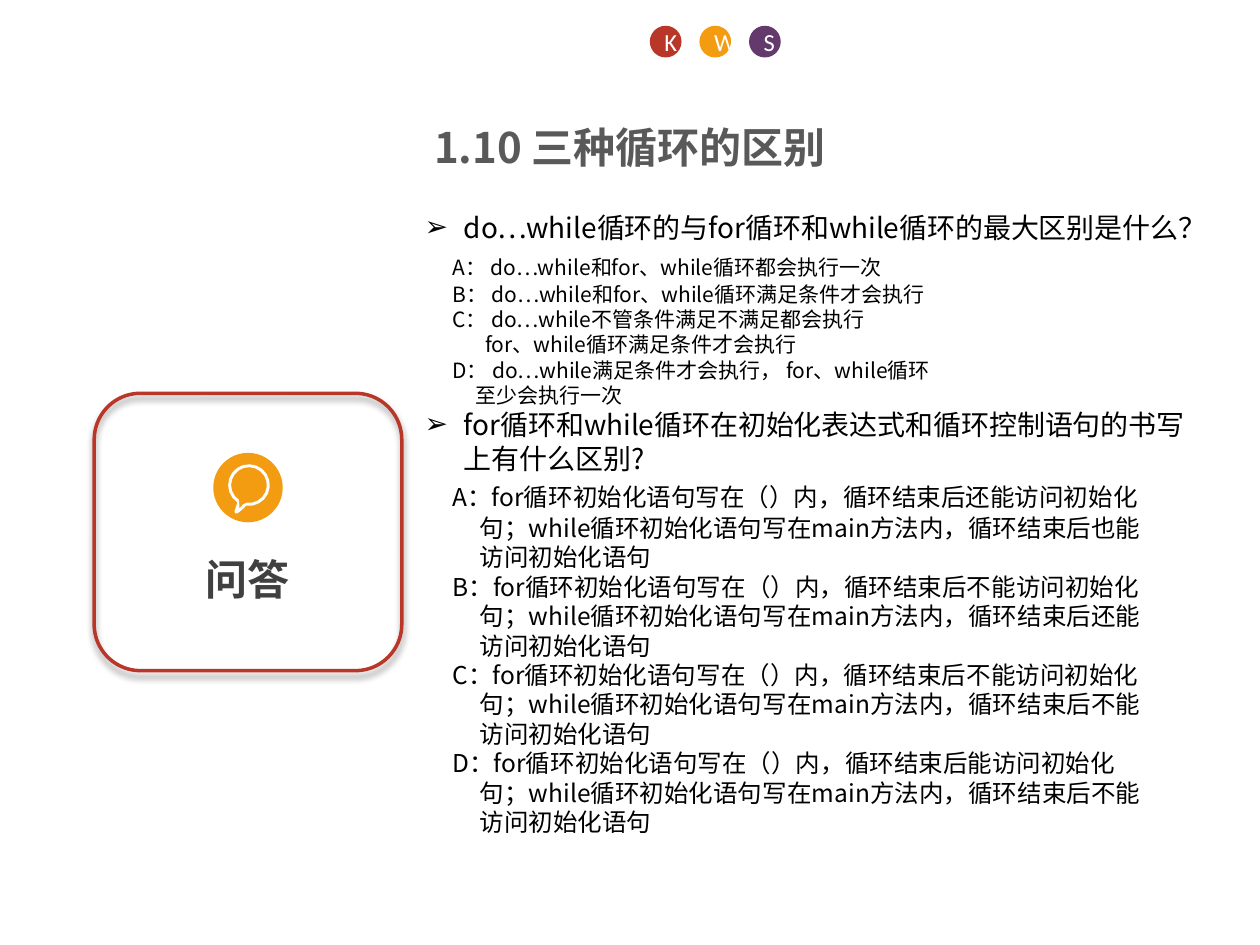
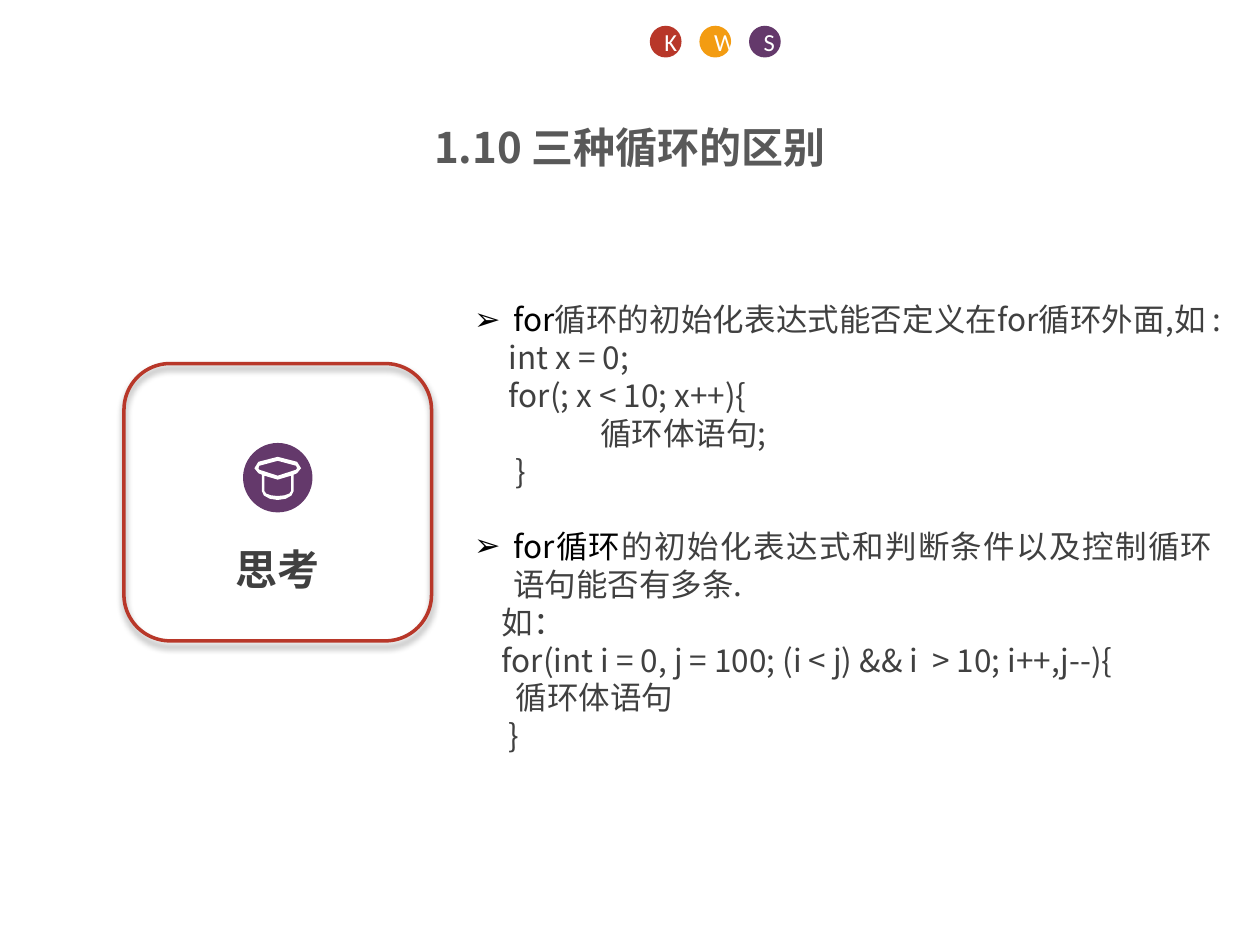
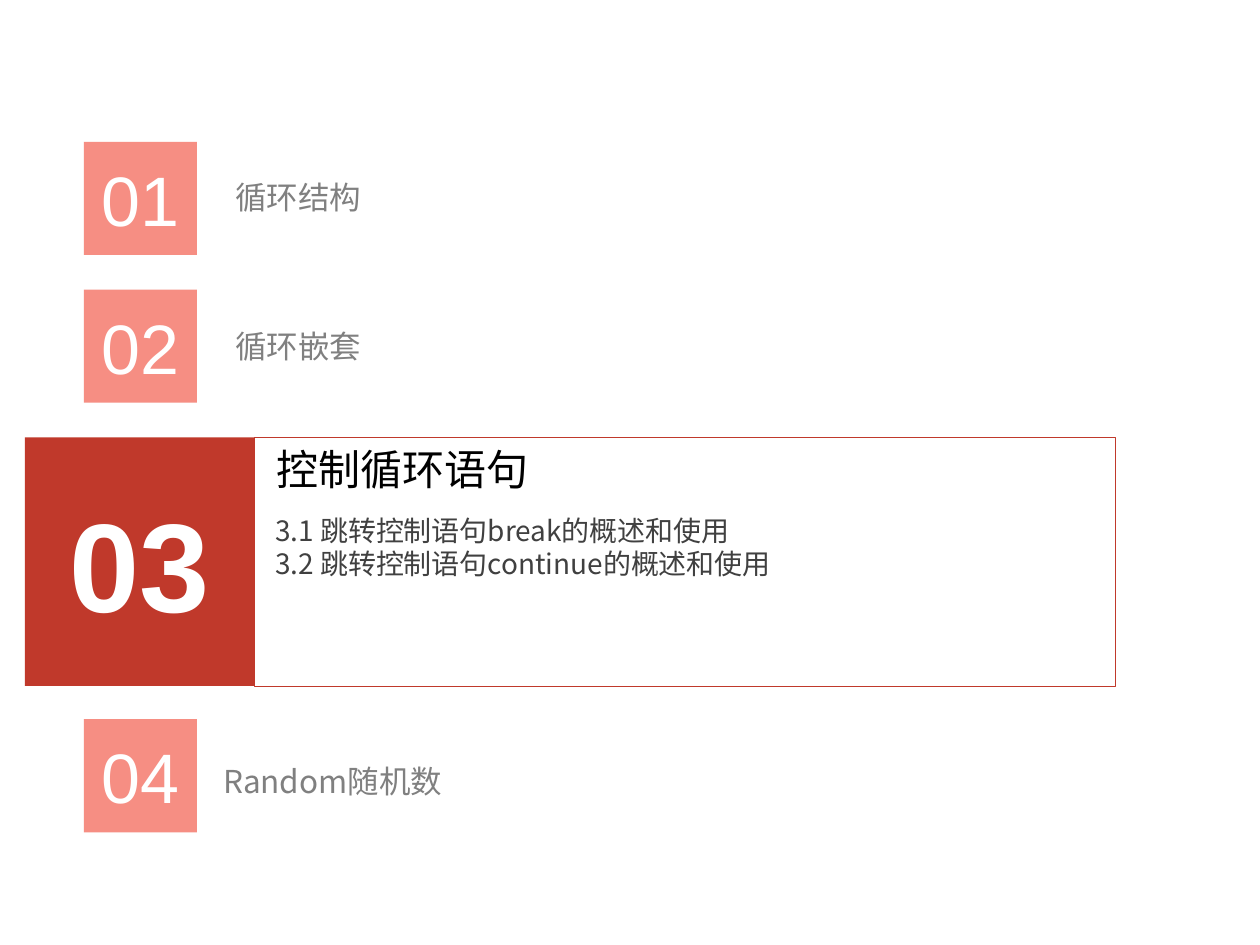
import math
from dataclasses import dataclass

from lxml import etree
from pptx import Presentation
from pptx.dml.color import RGBColor
from pptx.enum.shapes import MSO_SHAPE
from pptx.enum.text import MSO_ANCHOR, PP_ALIGN
from pptx.oxml.ns import qn
from pptx.shapes.autoshape import Shape
from pptx.slide import Slide
from pptx.util import Cm, Pt

RECTANGLE = MSO_SHAPE.RECTANGLE
ROUNDED = MSO_SHAPE.ROUNDED_RECTANGLE
OVAL = MSO_SHAPE.OVAL
MIDDLE = MSO_ANCHOR.MIDDLE
LEFT, CENTER, JUSTIFY = PP_ALIGN.LEFT, PP_ALIGN.CENTER, PP_ALIGN.JUSTIFY

COLORS = {
    "red": "B83729", "orange": "F39C12", "purple": "64396B",
    "active": "C0392B", "inactive": "F47264",
    "black": "000000", "dark": "404040", "title": "595959",
    "gray": "808080", "white": "FFFFFF",
}
BODY_FONT = "Noto Sans CJK SC"
NUMBER_FONT = "Arial"
LINE_HEIGHT = 1.2
HANGING = 0.79  # bullet indent in cm

Point = tuple[float, float]


@dataclass
class Box:
    left: float
    top: float
    width: float
    height: float


@dataclass
class Line:
    text: str
    size: float = 18
    color: str = "black"
    lead: str = ""  # opening words, always black
    indent: float = 0
    bullet: bool = False
    bold: bool = False
    before: float = 0
    after: float = 0


@dataclass
class Card:
    left: float
    top: float
    label: str
    icon_color: str
    icon: list[list[Point]]
    icon_drop: float
    label_drop: float


@dataclass
class Chapter:
    number: str
    top: float
    name: Line
    name_box: Box


# ---------- drawing helpers ----------
def rgb(name: str) -> RGBColor:
    return RGBColor.from_string(COLORS[name])


def style_run(run, size: float, color: str, bold: bool = False, font: str = BODY_FONT) -> None:
    run.font.size, run.font.bold, run.font.name = Pt(size), bold, font
    run.font.color.rgb = rgb(color)
    etree.SubElement(run.font._element, qn("a:ea"), typeface=font)


def add_shape(slide: Slide, kind, box: Box, fill: str = "", line: str = "", width: float = 1) -> Shape:
    shape = slide.shapes.add_shape(kind, Cm(box.left), Cm(box.top), Cm(box.width), Cm(box.height))
    shape.shadow.inherit = False
    if fill:
        shape.fill.solid()
        shape.fill.fore_color.rgb = rgb(fill)
    else:
        shape.fill.background()
    if line:
        shape.line.color.rgb = rgb(line)
        shape.line.width = Pt(width)
    else:
        shape.line.fill.background()
    return shape


def label_shape(shape: Shape, text: str, size: float, font: str, bold: bool = False) -> None:
    shape.text_frame.text = text
    shape.text_frame.vertical_anchor = MIDDLE
    paragraph = shape.text_frame.paragraphs[0]
    paragraph.alignment = CENTER
    style_run(paragraph.runs[0], size, "white", bold, font)


def add_text(slide: Slide, box: Box, lines: list[Line], alignment=LEFT) -> None:
    text_box = slide.shapes.add_textbox(Cm(box.left), Cm(box.top), Cm(box.width), Cm(box.height))
    frame = text_box.text_frame
    frame.word_wrap = True
    for index, line in enumerate(lines):
        paragraph = frame.paragraphs[0] if index == 0 else frame.add_paragraph()
        paragraph.text = line.lead or line.text
        if line.lead:
            paragraph.add_run().text = line.text
        properties = paragraph._p.get_or_add_pPr()
        if line.bullet:
            properties.set("marL", str(Cm(HANGING)))
            properties.set("indent", str(-Cm(HANGING)))
            etree.SubElement(properties, qn("a:buFont"), typeface=NUMBER_FONT)
            etree.SubElement(properties, qn("a:buChar"), char="➢")
        elif line.indent:
            properties.set("marL", str(Cm(line.indent)))
        paragraph.alignment = alignment
        paragraph.line_spacing = Pt(round(line.size * LINE_HEIGHT, 1))
        paragraph.space_before, paragraph.space_after = Pt(line.before), Pt(line.after)
        for run in paragraph.runs:
            is_lead = line.lead and run.text == line.lead
            style_run(run, line.size, "black" if is_lead else line.color, line.bold)


def add_soft_shadow(shape: Shape) -> None:
    effects = shape._element.spPr.find(qn("a:effectLst"))
    shadow = etree.SubElement(effects, qn("a:outerShdw"), blurRad=str(Pt(4)), dist=str(Pt(3)),
                              dir="5400000", algn="ctr", rotWithShape="0")
    color = etree.SubElement(shadow, qn("a:srgbClr"), val=COLORS["black"])
    etree.SubElement(color, qn("a:alpha"), val="40000")


def set_opacity(shape: Shape, percent: int) -> None:
    color = shape._element.spPr.find(qn("a:solidFill")).find(qn("a:srgbClr"))
    etree.SubElement(color, qn("a:alpha"), val=str(percent * 1000))


# ---------- icons, in cm from the centre of their disc ----------
def arc(center: Point, radius_x: float, radius_y: float, start: int, end: int, steps: int) -> list[Point]:
    angles = [math.radians(start + (end - start) * step / steps) for step in range(steps + 1)]
    return [(center[0] + radius_x * math.cos(angle), center[1] + radius_y * math.sin(angle))
            for angle in angles]


def mirror(half: list[Point]) -> list[Point]:
    """Complete a right half that starts and ends on the vertical axis."""
    return half + [(-x, y) for x, y in half[-2:0:-1]]


BUBBLE_CENTER = (0.02, -0.05)
BUBBLE = [
    arc(BUBBLE_CENTER, 0.42, 0.42, 98, -236, 18)
    + [(-0.27, 0.48), (-0.26, 0.52), (-0.21, 0.52), (-0.11, 0.44)],
    arc(BUBBLE_CENTER, 0.36, 0.36, 98, -236, 18) + [(-0.17, 0.42), (-0.1, 0.34)],
]
CAP = [
    mirror([(0, -0.42), (0.39, -0.32), (0.47, -0.19), (0.39, -0.09), (0.32, -0.06)]
           + arc((0, 0.27), 0.32, 0.18, 0, 90, 3)),
    mirror([(0, -0.34), (0.37, -0.24), (0.39, -0.19), (0.37, -0.16), (0, -0.04)]),
    mirror([(0, 0.04), (0.27, -0.04)] + arc((0, 0.27), 0.27, 0.1, 0, 90, 3)),
]


def add_icon(slide: Slide, center: Point, contours: list[list[Point]]) -> None:
    placed = [[(Cm(center[0] + x), Cm(center[1] + y)) for x, y in contour] for contour in contours]
    builder = slide.shapes.build_freeform(*placed[0][0])
    for index, contour in enumerate(placed):
        if index:
            builder.move_to(*contour[0])
        builder.add_line_segments(contour[1:], close=True)
    icon = builder.convert_to_shape()
    icon.shadow.inherit = False
    icon.fill.solid()
    icon.fill.fore_color.rgb = rgb("white")
    icon.line.fill.background()


# ---------- shared slide parts ----------
def add_header(slide: Slide) -> None:
    for index, (letter, color) in enumerate(zip("KWS", ("red", "orange", "purple"))):
        dot = add_shape(slide, OVAL, Box(13.1 + index, 0.52, 0.64, 0.64), color)
        label_shape(dot, letter, 14, "Calibri")
    title = Line("1.10 三种循环的区别", 24, "title", bold=True)
    add_text(slide, Box(0, 2.32, 25.4, 1.19), [title], CENTER)


def add_card(slide: Slide, card: Card) -> None:
    width, disc = 6.2, 1.4
    frame = add_shape(slide, ROUNDED, Box(card.left, card.top, width, 5.59), line="red", width=2)
    add_soft_shadow(frame)
    middle = card.left + width / 2
    label = Line(card.label, 24, "dark", bold=True)
    add_text(slide, Box(middle - 1.11, card.top + card.label_drop, 2.21, 1.14), [label])
    disc_top = card.top + card.icon_drop
    add_shape(slide, OVAL, Box(middle - disc / 2, disc_top, disc, disc), card.icon_color)
    add_icon(slide, (middle, disc_top + disc / 2), card.icon)


# ---------- slides ----------
def build_questions(slide: Slide) -> None:
    near, far = 0.56, 1.11
    lines = [
        Line("do…while循环的与for循环和while循环的最大区别是什么？", 16, bullet=True),
        Line("A： do…while和for、while循环都会执行一次", 12, indent=near, before=6, after=1),
        Line("B： do…while和for、while循环满足条件才会执行", 12, indent=near),
        Line("C： do…while不管条件满足不满足都会执行", 12, indent=near),
        Line("for、while循环满足条件才会执行", 12, indent=1.22),
        Line("D： do…while满足条件才会执行， for、while循环", 12, indent=near),
        Line("至少会执行一次", 12, indent=1.02),
        Line("for循环和while循环在初始化表达式和循环控制语句的书写上有什么区别?", 16, bullet=True),
    ]
    answers = [("A", "还能", "也能"), ("B", "不能", "还能"), ("C", "不能", "不能"), ("D", "能", "不能")]
    for letter, for_access, while_access in answers:
        first = letter == "A"
        lines += [
            Line(f"{letter}：for循环初始化语句写在（）内，循环结束后{for_access}访问初始化", 14,
                 indent=near, before=4 if first else 0, after=1 if first else 0),
            Line(f"句；while循环初始化语句写在main方法内，循环结束后{while_access}", 14, indent=far),
            Line("访问初始化语句", 14, indent=far),
        ]
    add_text(slide, Box(8.31, 4.12, 16.1, 15.57), lines)
    add_card(slide, Card(1.9, 7.93, "问答", "orange", BUBBLE, 1.2, 3.1))
    add_header(slide)


def build_thinking(slide: Slide) -> None:
    lines = [
        Line("循环的初始化表达式能否定义在for循环外面,如 :", color="dark", lead="for", bullet=True),
        Line("int x = 0;", color="dark", indent=0.7),
        Line("for(; x < 10; x++){", color="dark", indent=0.7),
        Line("循环体语句;", color="dark", indent=2.54),
        Line("}", color="dark", indent=0.84),
        Line("的初始化表达式和判断条件以及控制循环语句能否有多条.", color="dark", lead="for循环",
             bullet=True, before=21.6),
        Line("如：", color="dark", indent=0.56),
        Line("for(int i = 0, j = 100; (i < j) && i  > 10; i++,j--){", color="dark", indent=0.56),
        Line("循环体语句", color="dark", indent=0.84),
        Line("}", color="dark", indent=0.7),
    ]
    add_text(slide, Box(9.31, 5.93, 15.39, 10.26), lines, JUSTIFY)
    add_card(slide, Card(2.5, 7.33, "思考", "purple", CAP, 1.6, 3.5))
    add_header(slide)


def build_contents(slide: Slide) -> None:
    # Current chapter
    top, height = 8.82, 5.01
    block = add_shape(slide, RECTANGLE, Box(0.5, top, 4.64, height), "active")
    label_shape(block, "03", 72, NUMBER_FONT, bold=True)
    add_text(slide, Box(5.13, top, 5.9, 2.31), [Line("控制循环语句", 24, indent=0.2)])
    sections = ["3.1 跳转控制语句break的概述和使用", "3.2 跳转控制语句continue的概述和使用"]
    add_text(slide, Box(5.3, 10.22, 19.63, 4.45), [Line(text, 16, "dark") for text in sections])
    add_shape(slide, RECTANGLE, Box(5.13, top, 17.35, height), line="active", width=0.5)

    # Other chapters
    chapters = [
        Chapter("01", 2.86, Line("循环结构", color="gray"), Box(4.49, 3.46, 6.4, 1.02)),
        Chapter("02", 5.84, Line("循环嵌套", color="gray"), Box(4.49, 6.47, 6.4, 1.02)),
        Chapter("04", 14.5, Line("Random随机数", color="gray", indent=0.26),
                Box(3.99, 15.24, 5.41, 2.57)),
    ]
    for chapter in chapters:
        square = add_shape(slide, RECTANGLE, Box(1.69, chapter.top, 2.28, 2.28), "inactive")
        set_opacity(square, 80)
        label_shape(square, chapter.number, 40, NUMBER_FONT)
        add_text(slide, chapter.name_box, [chapter.name])


def main() -> None:
    presentation = Presentation()
    presentation.slide_width, presentation.slide_height = Cm(25.4), Cm(19.05)
    for build in (build_questions, build_thinking, build_contents):
        build(presentation.slides.add_slide(presentation.slide_layouts[6]))
    presentation.save("out.pptx")


if __name__ == "__main__":
    main()
